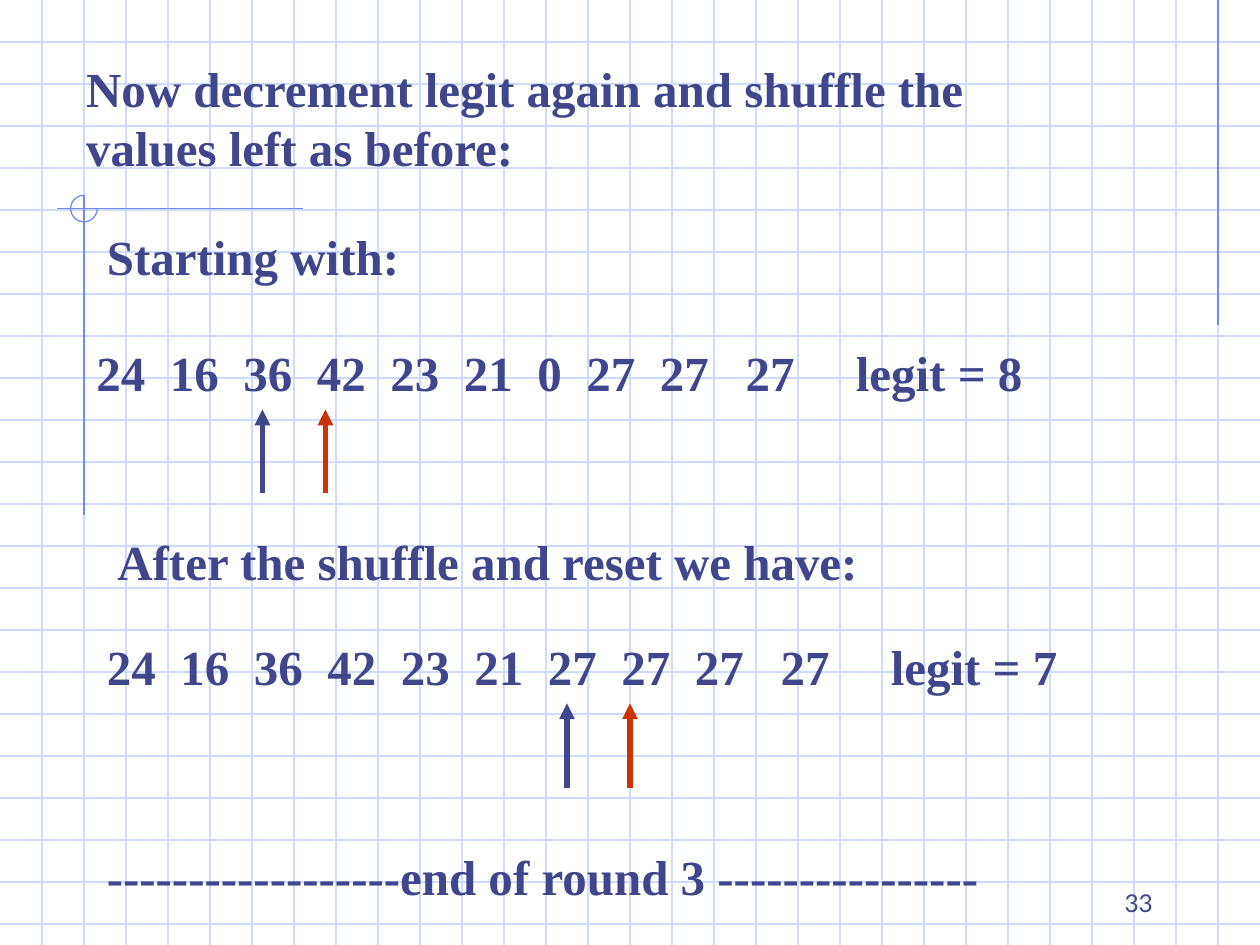
from collections import namedtuple
from dataclasses import dataclass

from lxml import etree
from pptx import Presentation
from pptx.dml.color import RGBColor
from pptx.enum.shapes import MSO_CONNECTOR, MSO_SHAPE
from pptx.enum.text import MSO_ANCHOR, MSO_AUTO_SIZE, PP_ALIGN
from pptx.oxml.ns import qn
from pptx.util import Pt

LINE = MSO_CONNECTOR.STRAIGHT
ARC = MSO_SHAPE.ARC
TOP, LOW = MSO_ANCHOR.TOP, MSO_ANCHOR.BOTTOM
LEFT, RIGHT = PP_ALIGN.LEFT, PP_ALIGN.RIGHT
NO_FIT = MSO_AUTO_SIZE.NONE
TITLE_ONLY = 5

Box = namedtuple("Box", "x y w h")
PAGE = Box(0, 0, 720, 540)


@dataclass(frozen=True)
class Theme:
    ink: RGBColor = RGBColor(0x40, 0x45, 0x8C)
    red: RGBColor = RGBColor(0xCC, 0x33, 0x00)
    pale: RGBColor = RGBColor(0xCF, 0xDB, 0xFD)
    blue: RGBColor = RGBColor(0x6F, 0x89, 0xF7)
    serif: str = "Times New Roman"
    sans: str = "Lato"
    body: float = 28
    small: float = 14
    lead: float = 33.6
    thin: float = 0.75
    bold: float = 3


THEME = Theme()


def add_line(slide, start, end, color, width, arrow=False):
    line = slide.shapes.add_connector(LINE, *map(Pt, start + end))
    line.line.color.rgb = color
    line.line.width = Pt(width)
    props = line._element.spPr
    if arrow:
        etree.SubElement(props.find(qn("a:ln")), qn("a:tailEnd"), type="triangle")
    etree.SubElement(props, qn("a:effectLst"))


def fill_text(shape, text, size=THEME.body, font=THEME.serif, bold=True,
              align=LEFT, anchor=TOP):
    frame = shape.text_frame
    frame.word_wrap = True
    frame.auto_size = NO_FIT
    frame.vertical_anchor = anchor
    para = frame.paragraphs[0]
    para.alignment = align
    para.space_before = Pt(0)
    run = para.add_run()
    run.text = text
    run.font.size = Pt(size)
    run.font.name = font
    run.font.bold = bold
    run.font.color.rgb = THEME.ink
    return para


def add_text(slide, box, text, **style):
    shape = slide.shapes.add_textbox(*map(Pt, box))
    para = fill_text(shape, text, **style)
    if not style:
        para.line_spacing = Pt(THEME.lead)
    return para


def add_grid(slide, box, gap=24):
    # Squared paper
    right, base = box.x + box.w, box.y + box.h
    for y in range(box.y + gap, base, gap):
        add_line(slide, (box.x, y), (right, y), THEME.pale, THEME.thin)
    for x in range(box.x + gap, right, gap):
        add_line(slide, (x, box.y), (x, base), THEME.pale, THEME.thin)


def add_trim(slide, box):
    # Corner rules, crossing at the centre of the arc
    x, y, size = box.x + 48, box.y + 119.2, 15.2
    rules = [
        ((box.x + 696, box.y), (box.x + 696, box.y + 186)),
        ((x - 15.5, y), (x + 125, y)),
        ((x, y - size / 2), (x, y + 175.2)),
    ]
    for start, end in rules:
        add_line(slide, start, end, THEME.blue, THEME.thin)
    arc = slide.shapes.add_shape(
        ARC, Pt(x - size / 2), Pt(y - size / 2), Pt(size), Pt(size))
    arc.adjustments[0] = 0
    arc.adjustments[1] = 162  # 270 degrees
    arc.fill.background()
    arc.line.color.rgb = THEME.blue
    arc.line.width = Pt(THEME.thin)
    arc.shadow.inherit = False


def add_title(slide, box, text):
    title = slide.shapes.title
    title.left, title.top, title.width, title.height = map(Pt, box)
    fill_text(title, text).line_spacing = Pt(THEME.lead)
    slide.shapes._spTree.append(title._element)  # in front of the grid


def add_row(slide, box, values, legit):
    # Each stop follows the width of the value before it
    para = add_text(slide, box, "\t".join(values + [f"legit = {legit}"]))
    tabs = etree.SubElement(para._p.get_or_add_pPr(), qn("a:tabLst"))
    space, stop, last = THEME.body / 4, 0, len(values) - 1
    gaps = {last - 1: 3, last: 5}
    for i, value in enumerate(values):
        stop += len(value) * THEME.body / 2 + gaps.get(i, 2) * space
        etree.SubElement(tabs, qn("a:tab"), pos=str(Pt(stop)), algn="l")


def add_step(slide, head, box, label, values, legit, mark):
    # Heading, list of values and the pair of pointers below it
    add_text(slide, head, label)
    add_row(slide, box, values.split(), legit)
    for i, color in enumerate((THEME.ink, THEME.red)):
        x = box.x + mark + i * 36
        add_line(slide, (x, box.y + 90), (x, box.y + 42), color, THEME.bold, True)


def main():
    deck = Presentation()
    deck.slide_width, deck.slide_height = Pt(PAGE.w), Pt(PAGE.h)
    slide = deck.slides.add_slide(deck.slide_layouts[TITLE_ONLY])

    add_grid(slide, PAGE)
    add_trim(slide, PAGE)
    add_title(slide, Box(42, 30, 594, 75),
              "Now decrement legit again and shuffle the values left as before:")
    add_step(slide, Box(54, 126, 306, 41), Box(48, 192, 624, 41), "Starting with:",
             "24 16 36 42 23 21 0 27 27 27", 8, 102)
    add_step(slide, Box(60, 300, 606, 41), Box(54, 360, 624, 41),
             "After the shuffle and reset we have:",
             "24 16 36 42 23 21 27 27 27 27", 7, 270)

    # Closing line and page number
    add_text(slide, Box(54, 480, 582, 41),
             "------------------end of round 3 ----------------")
    add_text(slide, Box(516, 492, 150, 36), "33", size=THEME.small,
             font=THEME.sans, bold=False, align=RIGHT, anchor=LOW)
    deck.save("out.pptx")


if __name__ == "__main__":
    main()
